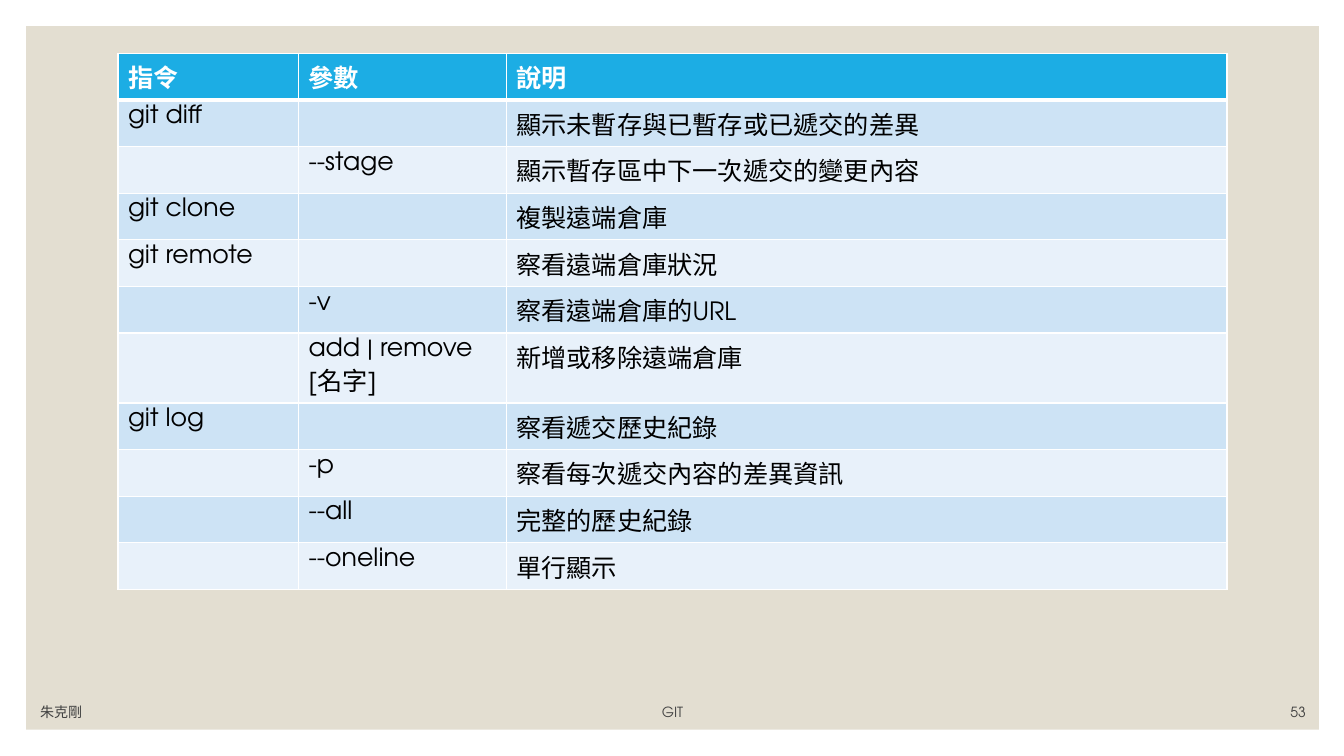
from lxml import etree
from pptx import Presentation
from pptx.dml.color import RGBColor
from pptx.enum.lang import MSO_LANGUAGE_ID
from pptx.enum.shapes import MSO_SHAPE
from pptx.enum.text import MSO_ANCHOR, PP_ALIGN
from pptx.oxml.ns import qn
from pptx.util import Inches, Pt

FONT = "TeX Gyre Adventor"
COLUMN_WIDTHS = [1.79, 2.06, 7.15]
ROW_HEIGHT = 0.41
COMMANDS = [
    ("指令", "參數", "說明"),
    ("git diff", "", "顯示未暫存與已暫存或已遞交的差異"),
    ("", "--stage", "顯示暫存區中下一次遞交的變更內容"),
    ("git clone", "", "複製遠端倉庫"),
    ("git remote", "", "察看遠端倉庫狀況"),
    ("", "-v", "察看遠端倉庫的URL"),
    ("", "add | remove [名字]", "新增或移除遠端倉庫"),
    ("git log", "", "察看遞交歷史紀錄"),
    ("", "-p", "察看每次遞交內容的差異資訊"),
    ("", "--all", "完整的歷史紀錄"),
    ("", "--oneline", "單行顯示"),
]


def color(value):
    return RGBColor.from_string(value)


def format_text(frame, size, text_color, bold=False):
    for para in frame.paragraphs:
        for span in para.runs:
            span.font.name = FONT
            span.font.size = Pt(size)
            span.font.bold = bold
            span.font.color.rgb = color(text_color)
            span.font.language_id = MSO_LANGUAGE_ID.TRADITIONAL_CHINESE


def add_panel(page):
    panel = page.shapes.add_shape(
        MSO_SHAPE.RECTANGLE, Inches(0.26), Inches(0.26), Inches(12.82), Inches(6.98)
    )
    panel.shadow.inherit = False
    panel.fill.solid()
    panel.fill.fore_color.rgb = color("E3DED1")
    panel.line.fill.background()


def set_borders(cell, top, bottom):
    properties = cell._tc.get_or_add_tcPr()
    for side, width in (("L", 1), ("R", 1), ("T", top), ("B", bottom)):
        line = etree.SubElement(properties, qn(f"a:ln{side}"), w=str(Pt(width)))
        fill = etree.SubElement(line, qn("a:solidFill"))
        etree.SubElement(fill, qn("a:srgbClr"), val="FFFFFF")


def fill_cell(cell, text, row):
    header = row == 0
    set_borders(cell, top=3 if row == 1 else 1, bottom=3 if header else 1)
    cell.fill.solid()
    band = "CDE3F5" if row % 2 else "E8F1FA"
    cell.fill.fore_color.rgb = color("1CADE4" if header else band)
    cell.text_frame.text = text
    format_text(cell.text_frame, 18, "FFFFFF" if header else "000000", header)


def add_command_table(page):
    table = page.shapes.add_table(
        len(COMMANDS), len(COLUMN_WIDTHS), Inches(1.17), Inches(0.53),
        Inches(sum(COLUMN_WIDTHS)), Inches(ROW_HEIGHT * len(COMMANDS)),
    ).table
    for column, width in zip(table.columns, COLUMN_WIDTHS):
        column.width = Inches(width)
    for row, texts in enumerate(COMMANDS):
        table.rows[row].height = Inches(ROW_HEIGHT)
        for column, text in enumerate(texts):
            fill_cell(table.cell(row, column), text, row)


def add_footer(page, text, left, width, alignment):
    box = page.shapes.add_textbox(Inches(left), Inches(6.9), Inches(width), Inches(0.3))
    frame = box.text_frame
    frame.word_wrap = True
    frame.vertical_anchor = MSO_ANCHOR.BOTTOM
    frame.text = text
    frame.paragraphs[0].alignment = alignment
    format_text(frame, 10, "404040")


def main():
    deck = Presentation()
    deck.slide_width = Inches(13.33)
    deck.slide_height = Inches(7.5)
    page = deck.slides.add_slide(deck.slide_layouts[6])
    add_panel(page)
    add_command_table(page)
    add_footer(page, "朱克剛", 0.3, 3, PP_ALIGN.LEFT)
    add_footer(page, "GIT", 3.82, 5.7, PP_ALIGN.CENTER)
    add_footer(page, "53", 11.45, 1.6, PP_ALIGN.RIGHT)
    deck.save("out.pptx")


if __name__ == "__main__":
    main()
